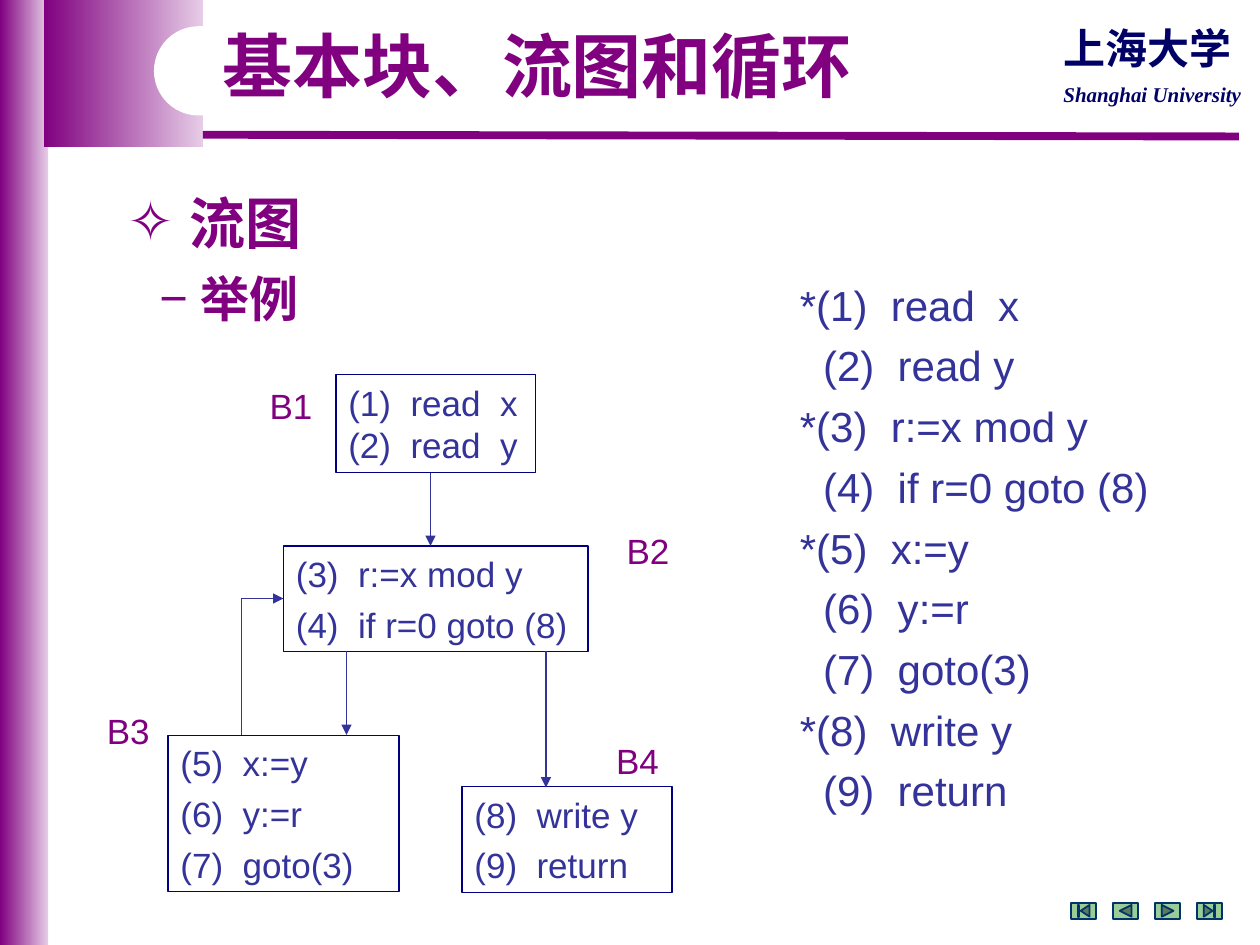
from typing import NamedTuple

from lxml.etree import SubElement
from pptx import Presentation
from pptx.dml.color import RGBColor
from pptx.enum.shapes import MSO_CONNECTOR as Conn, MSO_SHAPE as Shape
from pptx.enum.text import MSO_ANCHOR as Anchor, PP_ALIGN as Align
from pptx.oxml.ns import qn
from pptx.util import Pt

PURPLE, LILAC, WHITE = "800080", "E6CCE6", "FFFFFF"
NAVY, BLOCK_EDGE, INDIGO = "000066", "000080", "333399"
GREEN, TEAL = "99CC99", "003366"
CJK = "Noto Sans CJK SC"


class Rect(NamedTuple):
    x: float
    y: float
    w: float
    h: float


class Block(NamedTuple):
    name: str
    label_at: tuple[float, float]
    rect: Rect
    lines: list[str]


class Edge(NamedTuple):
    start: tuple[float, float]
    end: tuple[float, float]
    arrow: bool = True


BLOCKS = [
    Block("B1", (147, 216), Rect(192, 214, 114, 56),
          ["(1)  read  x (2)  read  y"]),
    Block("B2", (351, 299), Rect(162, 312, 174, 60.5),
          ["(3)  r:=x mod y", "(4)  if r=0 goto (8)"]),
    Block("B3", (54, 402), Rect(96, 420.5, 132, 89),
          ["(5)  x:=y", "(6)  y:=r", "(7)  goto(3)"]),
    Block("B4", (345, 419), Rect(264, 449.5, 120, 60.5),
          ["(8)  write y", "(9)  return"]),
]
EDGES = [
    Edge((246, 270), (246, 312)),
    Edge((198, 372), (198, 420)),
    Edge((312, 372), (312, 450)),
    Edge((138, 420), (138, 342), arrow=False),
    Edge((138, 342), (162, 342)),
]
CODE = [
    "*(1)  read  x",
    "  (2)  read y",
    "*(3)  r:=x mod y",
    "  (4)  if r=0 goto (8)",
    "*(5)  x:=y",
    "  (6)  y:=r",
    "  (7)  goto(3)",
    "*(8)  write y",
    "  (9)  return",
]
BUTTONS = [
    Shape.ACTION_BUTTON_BEGINNING,
    Shape.ACTION_BUTTON_BACK_OR_PREVIOUS,
    Shape.ACTION_BUTTON_FORWARD_OR_NEXT,
    Shape.ACTION_BUTTON_END,
]


def rgb(value: str) -> RGBColor:
    return RGBColor.from_string(value)


def add_shape(s, kind, rect: Rect, fill=None, line=None, width=0.75):
    sp = s.shapes.add_shape(kind, *map(Pt, rect))
    sp.shadow.inherit = False
    if fill:
        sp.fill.solid()
        sp.fill.fore_color.rgb = rgb(fill)
    else:
        sp.fill.background()
    if line:
        sp.line.color.rgb = rgb(line)
        sp.line.width = Pt(width)
    else:
        sp.line.fill.background()
    return sp


def add_gradient(s, rect: Rect) -> None:
    sp = add_shape(s, Shape.RECTANGLE, rect)
    sp.fill.gradient()
    sp.fill.gradient_angle = 0
    for stop, color in zip(sp.fill.gradient_stops, (PURPLE, LILAC)):
        stop.color.rgb = rgb(color)


def add_line(s, edge: Edge, color=INDIGO, width=0.75) -> None:
    cn = s.shapes.add_connector(Conn.STRAIGHT, *map(Pt, edge.start + edge.end))
    cn.line.color.rgb = rgb(color)
    cn.line.width = Pt(width)
    if edge.arrow:
        SubElement(cn.line._get_or_add_ln(), qn("a:tailEnd"), type="triangle")
    SubElement(cn._element.spPr, qn("a:effectLst"))


def set_bullet(p, char: str, hang: float) -> None:
    """Give the paragraph a bullet with a hanging indent in points."""
    pPr = p._p.get_or_add_pPr()
    pPr.set("marL", str(Pt(hang)))
    pPr.set("indent", str(-Pt(hang)))
    SubElement(SubElement(pPr, qn("a:buClr")), qn("a:srgbClr"), val=PURPLE)
    SubElement(pPr, qn("a:buFont"), typeface="Arial")
    SubElement(pPr, qn("a:buChar"), char=char)


def write(sp, lines: list[str], *, size, color, font="Arial", bold=False,
          italic=False, align=Align.LEFT, gap=0, spacing=None, wrap=True,
          anchor=Anchor.TOP, bullet=None, hang=0) -> None:
    tf = sp.text_frame
    tf.word_wrap = wrap
    tf.vertical_anchor = anchor
    for i, line in enumerate(lines):
        p = tf.add_paragraph() if i else tf.paragraphs[0]
        p.alignment = align
        if i:
            p.space_before = Pt(gap)
        if spacing:
            p.line_spacing = spacing
        if bullet:
            set_bullet(p, bullet, hang)
        r = p.add_run()
        r.text = line
        r.font.name = font
        r.font.size = Pt(size)
        r.font.bold = bold
        r.font.italic = italic
        r.font.color.rgb = rgb(color)
        SubElement(r._r.get_or_add_rPr(), qn("a:ea"), typeface=CJK)


def add_text(s, rect: Rect, lines: list[str], **fmt) -> None:
    write(s.shapes.add_textbox(*map(Pt, rect)), lines, **fmt)


def add_block(s, block: Block) -> None:
    sp = add_shape(s, Shape.RECTANGLE, block.rect, line=BLOCK_EDGE)
    write(sp, block.lines, size=20, color=INDIGO, gap=5, anchor=Anchor.MIDDLE)
    add_text(s, Rect(*block.label_at, 39, 31), [block.name],
             size=20, color=PURPLE, wrap=False)


def add_frame(s) -> None:
    """Draw the side band, header rule and university name."""
    add_gradient(s, Rect(0, 0, 27.5, 540))
    add_gradient(s, Rect(25, 0, 91, 84))
    add_line(s, Edge((116, 77), (708, 78), arrow=False), PURPLE, 4.5)
    pill = add_shape(s, Shape.ROUNDED_RECTANGLE, Rect(88, 15, 260.5, 51), WHITE)
    pill.adjustments[0] = 0.5
    name = dict(color=NAVY, bold=True, align=Align.CENTER, wrap=False)
    add_text(s, Rect(600, 43, 117, 22), ["Shanghai University"],
             size=12, font="Times New Roman", italic=True, **name)
    add_text(s, Rect(600, 9.5, 111.5, 36), ["上海大学"], size=24, font=CJK, **name)


def main() -> None:
    prs = Presentation()
    prs.slide_width, prs.slide_height = Pt(720), Pt(540)
    s = prs.slides.add_slide(prs.slide_layouts[6])

    add_frame(s)
    heading = dict(color=PURPLE, bold=True)
    add_text(s, Rect(120, 15, 390, 50), ["基本块、流图和循环"],
             size=40, spacing=0.9, **heading)
    add_text(s, Rect(66, 104, 408, 46), ["流图"],
             size=32, font="Times New Roman", bullet="✧", hang=35, **heading)
    add_text(s, Rect(84, 150, 300, 41), ["举例"],
             size=28, font=CJK, bullet="−", hang=23.5, **heading)
    add_text(s, Rect(450, 156, 246, 318), CODE, size=24, color=INDIGO, gap=5.9)

    for block in BLOCKS:
        add_block(s, block)
    for edge in EDGES:
        add_line(s, edge)
    for i, kind in enumerate(BUTTONS):
        add_shape(s, kind, Rect(612 + 24 * i, 516, 14.5, 9), GREEN, TEAL, 1)

    prs.save("out.pptx")


if __name__ == "__main__":
    main()
